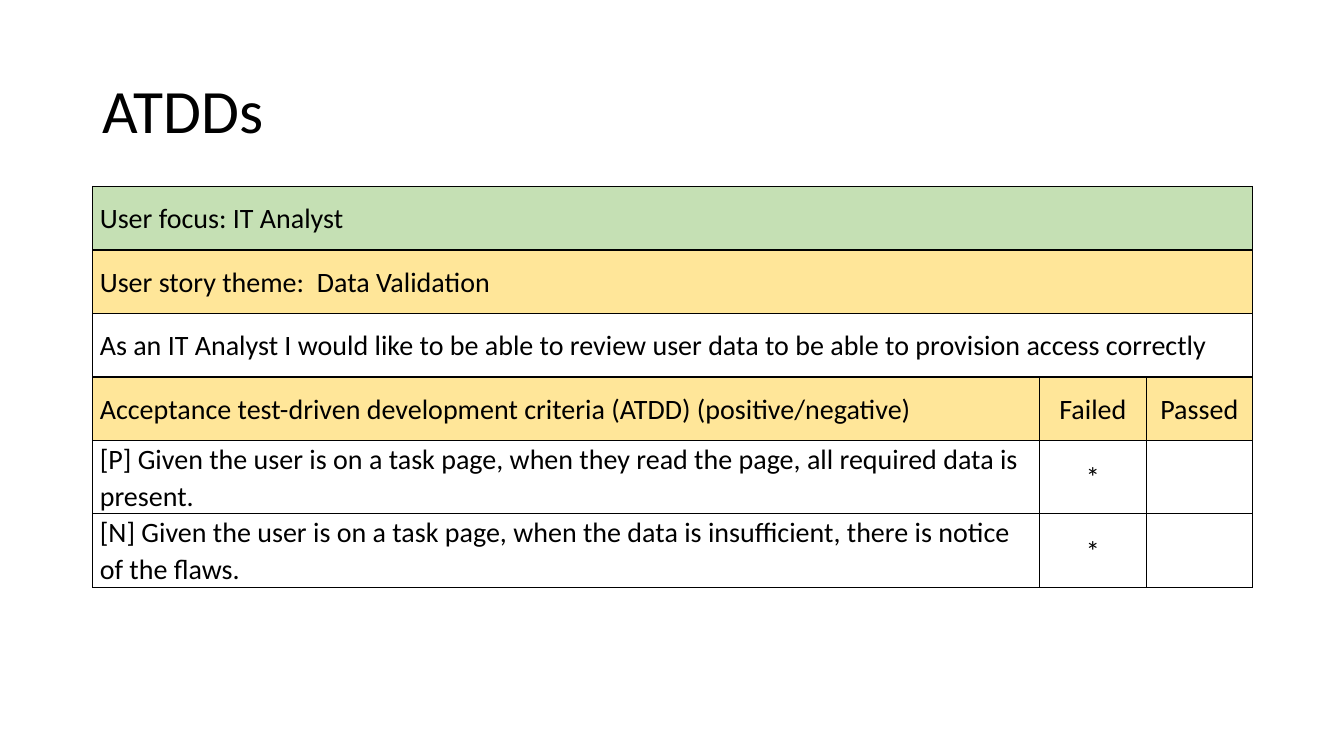
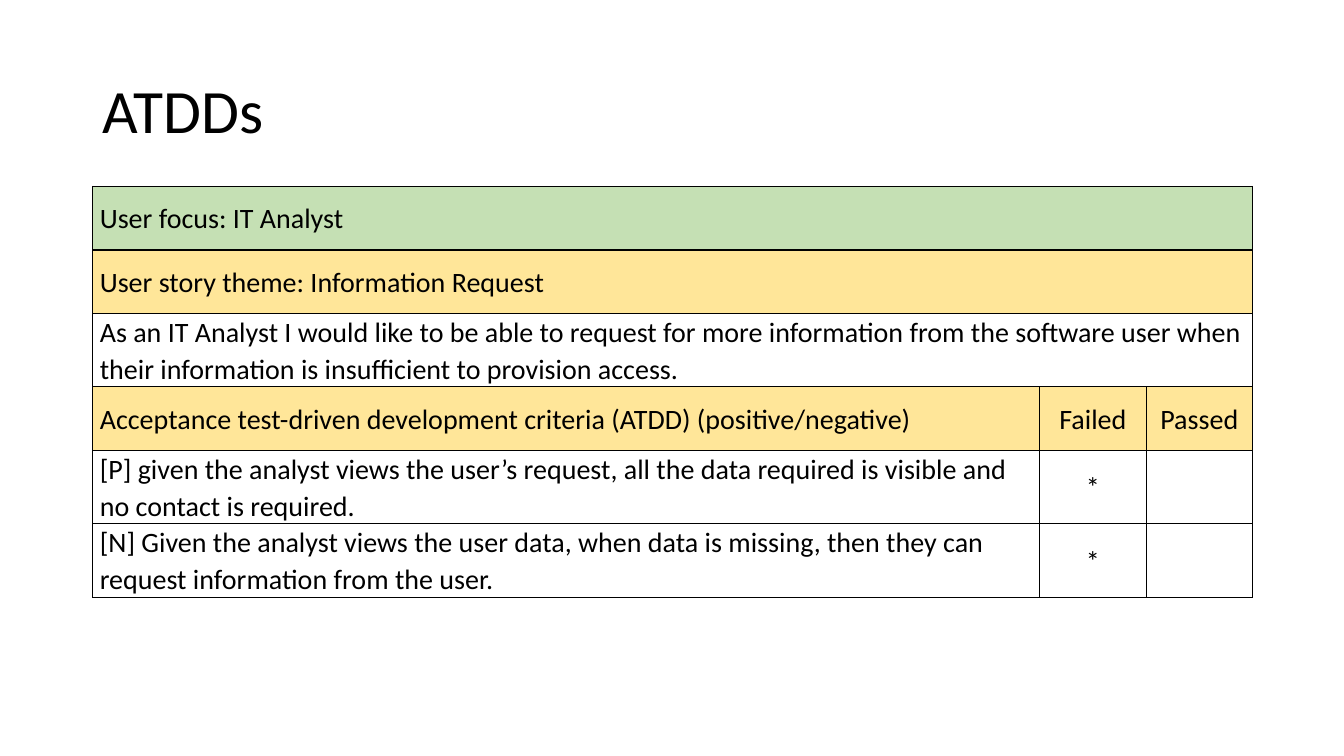
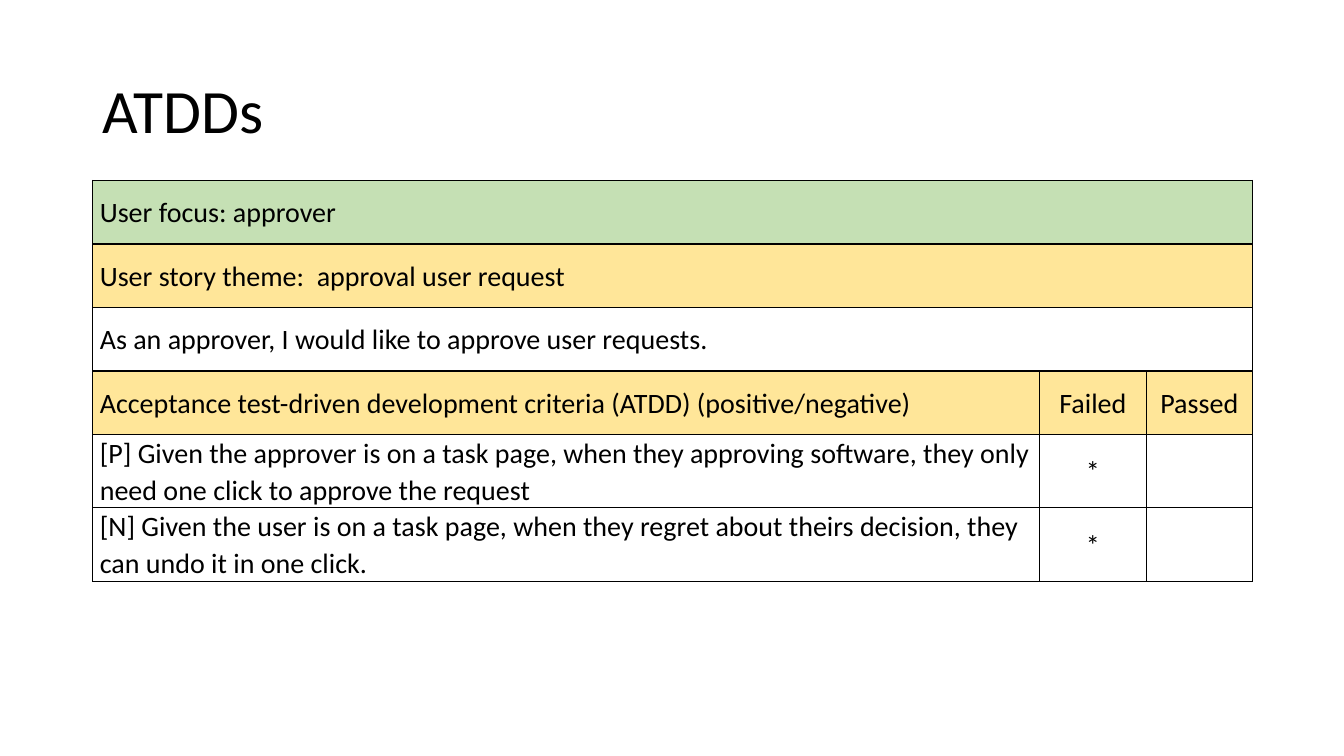
from dataclasses import dataclass

from lxml.etree import SubElement
from pptx import Presentation
from pptx.dml.color import RGBColor
from pptx.enum.text import MSO_ANCHOR, MSO_AUTO_SIZE, PP_ALIGN
from pptx.oxml.ns import qn
from pptx.util import Inches, Pt


@dataclass(frozen=True)
class Theme:
    font: str = "Calibri"
    ink: str = "000000"
    green: str = "C5E0B4"
    gold: str = "FFE699"
    head: int = 44
    body: int = 20
    rule: int = 1


THEME = Theme()
WIDE, HIGH = 13.33, 7.5
LEFT, SPAN = 0.92, 11.5
COLS = (9.39, 1.06, 1.05)
ROW = 0.63
FILLS = (THEME.green, THEME.gold, None, THEME.gold, None, None)
LABELS = ("Acceptance test-driven development criteria (ATDD) (positive/negative)",
          "Failed", "Passed")

STORIES = (
    (1.85, "IT Analyst", " Data Validation",
     "As an IT Analyst I would like to be able to review user data to be able to provision access correctly",
     "[P] Given the user is on a task page, when they read the page, all required data is present.",
     "[N] Given the user is on a task page, when the data is insufficient, there is notice of the flaws."),
    (1.85, "IT Analyst", "Information Request",
     "As an IT Analyst I would like to be able to request for more information from the software user when their information is insufficient to provision access.",
     "[P] given the analyst views the user’s request, all the data required is visible and no contact is required.",
     "[N] Given the analyst views the user data, when data is missing, then they can request information from the user."),
    (1.79, "approver", " approval user request",
     "As an approver, I would like to approve user requests.",
     "[P] Given the approver is on a task page, when they approving software, they only need one click to approve the request",
     "[N] Given the user is on a task page, when they regret about theirs decision, they can undo it in one click."),
)


def style(frame, size, align, space):
    for para in frame.paragraphs:
        para.alignment = align
        para.line_spacing = space
        for run in para.runs:
            run.font.name = THEME.font
            run.font.size = Pt(size)
            run.font.color.rgb = RGBColor.from_string(THEME.ink)


def add_title(slide, text):
    title = slide.shapes.title
    title.left, title.top = Inches(LEFT), Inches(0.4)
    title.width, title.height = Inches(SPAN), Inches(1.45)
    frame = title.text_frame
    frame.text = text
    frame.auto_size = MSO_AUTO_SIZE.NONE
    frame.vertical_anchor = MSO_ANCHOR.MIDDLE
    style(frame, THEME.head, PP_ALIGN.LEFT, 0.9)


def add_rules(cell):
    props = cell._tc.get_or_add_tcPr()
    for side in ("lnL", "lnR", "lnT", "lnB"):
        line = SubElement(props, qn(f"a:{side}"), w=str(Pt(THEME.rule)))
        fill = SubElement(line, qn("a:solidFill"))
        SubElement(fill, qn("a:srgbClr"), val=THEME.ink)


def fill_cell(cell, text, color, align):
    add_rules(cell)
    if color:
        cell.fill.solid()
        cell.fill.fore_color.rgb = RGBColor.from_string(color)
    else:
        cell.fill.background()
    cell.margin_left = cell.margin_right = Inches(0.07)
    cell.margin_top = cell.margin_bottom = 0
    cell.vertical_anchor = MSO_ANCHOR.MIDDLE
    cell.text_frame.text = text
    style(cell.text_frame, THEME.body, align, 1.07)


def add_grid(slide, top, rows):
    frame = slide.shapes.add_table(
        len(rows), len(COLS), Inches(LEFT), Inches(top),
        Inches(SPAN), Inches(ROW * len(rows)))
    table = frame.table
    table.first_row = table.horz_banding = False
    for col, width in zip(table.columns, COLS):
        col.width = Inches(width)
    for r, (texts, color) in enumerate(zip(rows, FILLS)):
        table.rows[r].height = Inches(ROW)
        for c in range(len(COLS)):
            text = texts[c] if c < len(texts) else ""
            align = PP_ALIGN.CENTER if c else PP_ALIGN.LEFT
            fill_cell(table.cell(r, c), text, color, align)
        if len(texts) == 1:
            table.cell(r, 0).merge(table.cell(r, len(COLS) - 1))


def add_story(deck, top, user, theme, wish, *tests):
    slide = deck.slides.add_slide(deck.slide_layouts[5])
    add_title(slide, "ATDDs")
    rows = [(f"User focus: {user}",), (f"User story theme: {theme}",), (wish,), LABELS]
    rows += [(test, "*", "") for test in tests]
    add_grid(slide, top, rows)


def main():
    deck = Presentation()
    deck.slide_width, deck.slide_height = Inches(WIDE), Inches(HIGH)
    for story in STORIES:
        add_story(deck, *story)
    deck.save("out.pptx")


if __name__ == "__main__":
    main()
